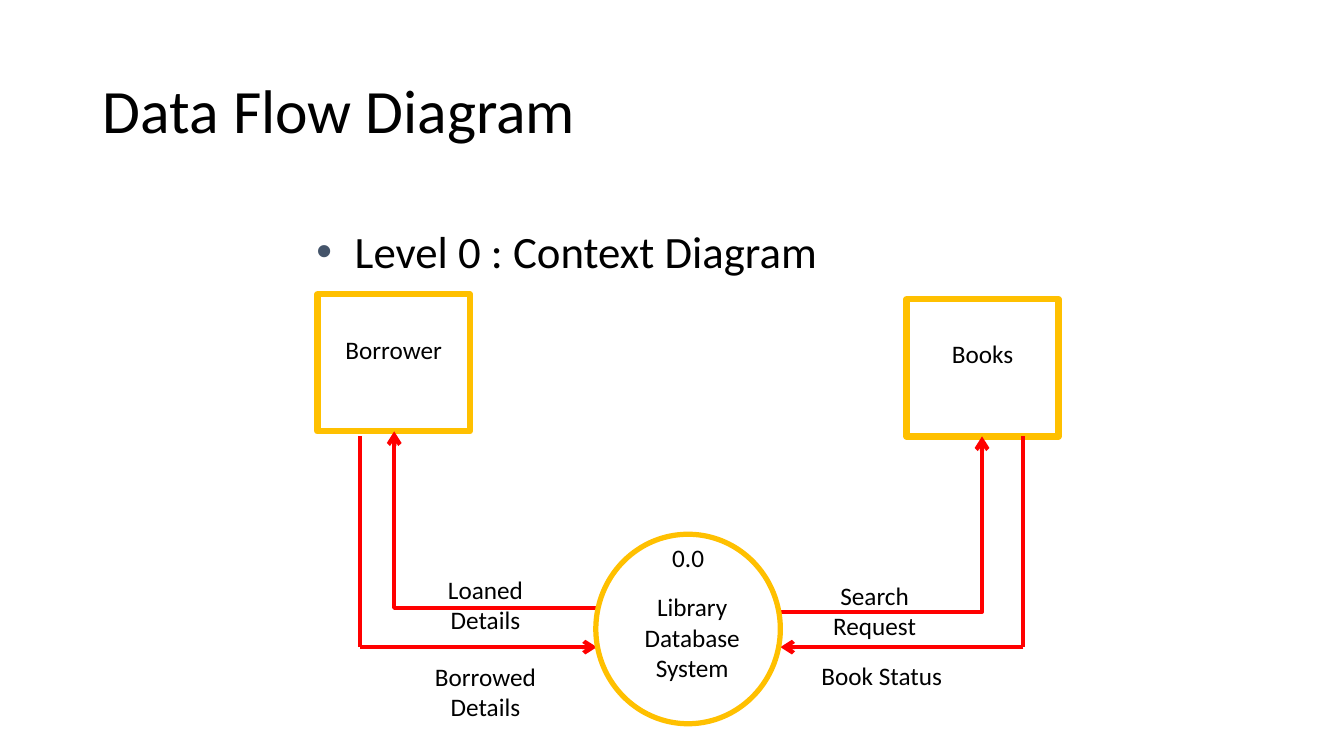
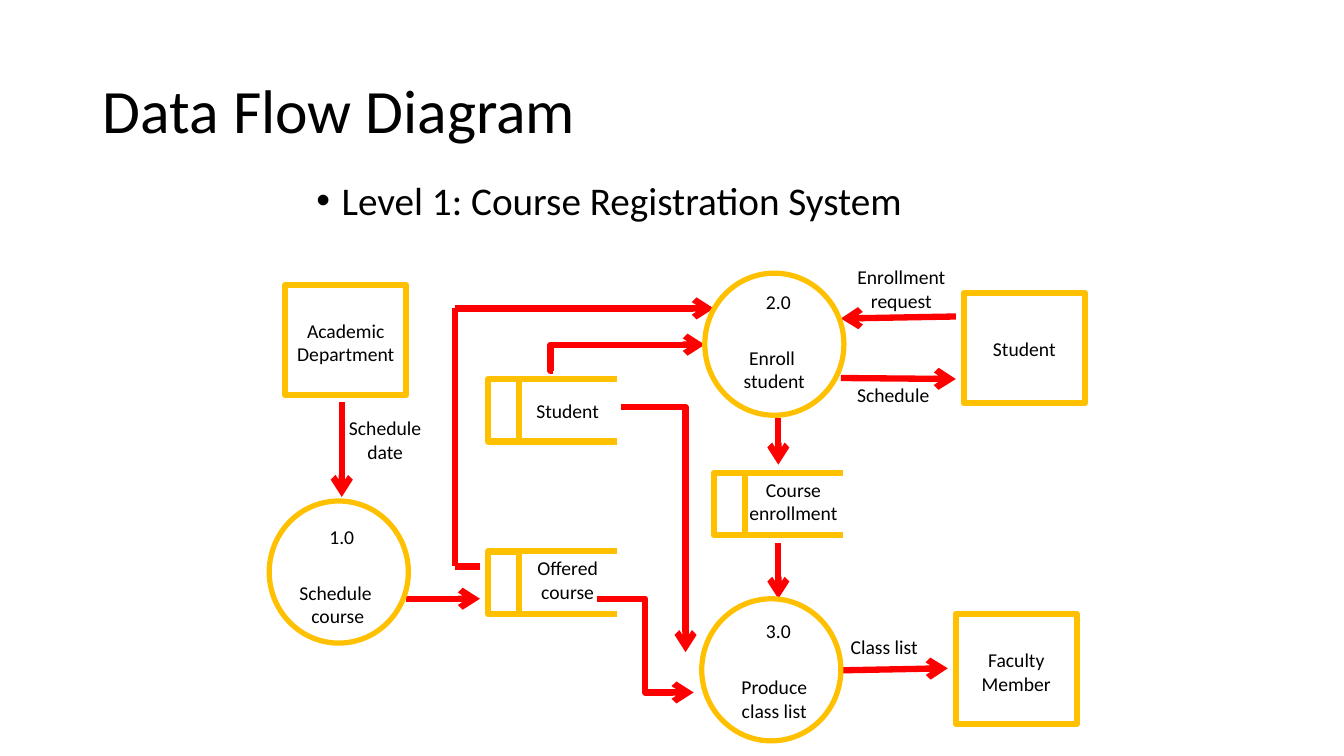
from lxml import etree
from pptx import Presentation
from pptx.dml.color import RGBColor
from pptx.enum.shapes import MSO_CONNECTOR as Connector, MSO_SHAPE as Shape
from pptx.enum.text import MSO_ANCHOR as Anchor, PP_ALIGN as Align
from pptx.oxml.ns import qn
from pptx.util import Inches, Pt

BLACK = RGBColor(0x00, 0x00, 0x00)
SLATE = RGBColor(0x44, 0x54, 0x6A)
GOLD = RGBColor(0xFF, 0xC0, 0x00)
RED = RGBColor(0xFF, 0x00, 0x00)
FONT = "Calibri"
TITLE = "Data Flow Diagram"
TITLE_AREA = (0.92, 0.4, 11.5, 1.45)
STORE_WIDTH, STORE_TAB, STORE_HEIGHT = 1.28, 0.31, 0.62
OUTLINE, OVAL_OUTLINE = 4.5, 3.75

LEVEL_0 = {
    "heading": dict(text="Level 0 : Context Diagram", top=2.17, size=32,
                    indent=0.38, spacing=1.0, bullet=SLATE),
    "text_size": 18,
    "flow_width": 3,
    "entity_size": (1.51, 1.36),
    "entities": [("Borrower", 3.15, 2.92, 0.35), ("Books", 8.99, 2.97, 0.34)],
    "stores": [],
    "oval_size": (1.83, 1.88),
    "ovals": [(5.91, 5.3)],
    "straight_flows": [
        (3.57, 6.42, 5.92, 6.42, True),
        (10.15, 6.42, 7.74, 6.42, True),
        (10.15, 6.42, 10.15, 4.33, False),
        (3.57, 6.42, 3.57, 4.33, False),
    ],
    "corner_flows": [(7.73, 6.07, 9.74, 4.33), (5.92, 6.03, 3.91, 4.28)],
    "step_flows": [],
    "labels": [
        ("0.0", 6.07, 5.33, 1.51),
        ("Library\nDatabase\nSystem", 5.92, 5.82, 1.89),
        ("Loaned Details", 4.06, 5.65, 1.51),
        ("Borrowed Details", 4.06, 6.51, 1.51),
        ("Search Request", 7.8, 5.71, 1.75),
        ("Book Status", 7.99, 6.5, 1.51),
    ],
}

LEVEL_1 = {
    "heading": dict(text="Level 1: Course Registration System", top=1.75, size=28,
                    indent=0.25, spacing=0.9, bullet=BLACK),
    "text_size": 14,
    "flow_width": 4.5,
    "entity_size": (1.2, 1.09),
    "entities": [
        ("Academic Department", 2.83, 2.83, 0.28),
        ("Faculty\nMember", 9.48, 6.09, 0.29),
        ("Student", 9.56, 2.91, 0.38),
    ],
    "stores": [
        ("Offered\ncourse", 4.84, 5.47, 0),
        ("Student", 4.84, 3.76, 0.15),
        ("Course\nenrollment", 7.08, 4.69, 0),
    ],
    "oval_size": (1.38, 1.41),
    "ovals": [(6.99, 2.71), (6.96, 5.94), (2.67, 4.97)],
    "straight_flows": [
        (9.48, 3.14, 8.34, 3.16, True),
        (8.34, 3.75, 9.48, 3.76, True),
        (7.72, 5.39, 7.72, 5.94, True),
        (7.72, 4.15, 7.72, 4.61, True),
        (8.34, 6.65, 9.4, 6.63, True),
        (4.03, 5.94, 4.76, 5.94, True),
        (4.51, 3.06, 7.08, 3.06, True),
        (4.51, 3.06, 4.51, 5.62, False),
        (4.51, 5.62, 4.76, 5.62, False),
        (3.39, 3.99, 3.39, 4.93, True),
    ],
    "corner_flows": [(6.16, 4.04, 6.8, 6.47)],
    "step_flows": [(5.92, 5.94, 6.88, 6.87, 0.5), (5.48, 3.68, 6.99, 3.42, -0.014)],
    "labels": [
        ("1.0", 2.99, 5.16, 0.8),
        ("Schedule \ncourse", 2.67, 5.71, 1.36),
        ("2.0", 7.32, 2.83, 0.8),
        ("Enroll \nstudent", 7, 3.38, 1.36),
        ("3.0", 7.32, 6.09, 0.8),
        ("Produce\nclass list", 7, 6.65, 1.36),
        ("Schedule\ndate", 3.22, 4.08, 1.2),
        ("Enrollment\nrequest", 8.34, 2.58, 1.2),
        ("Schedule", 8.26, 3.75, 1.2),
        ("Class list", 8.17, 6.25, 1.2),
    ],
}


def inches(*values):
    return [Inches(value) for value in values]


def write(frame, text, size, align=Align.CENTER, spacing=None):
    frame.word_wrap = True
    for index, line in enumerate(text.split("\n")):
        para = frame.add_paragraph() if index else frame.paragraphs[0]
        para.alignment = align
        if spacing:
            para.line_spacing = spacing
        span = para.add_run()
        span.text = line
        span.font.name = FONT
        span.font.size = Pt(size)
        span.font.color.rgb = BLACK


def add_label(page, text, left, top, width, size):
    height = 0.1 + (text.count("\n") + 1) * size * 1.2 / 72
    box = page.shapes.add_textbox(*inches(left, top, width, height))
    write(box.text_frame, text, size)


def add_outline(page, kind, left, top, width, height, weight=OUTLINE):
    box = page.shapes.add_shape(kind, *inches(left, top, width, height))
    box.shadow.inherit = False
    box.fill.background()
    box.line.color.rgb = GOLD
    box.line.width = Pt(weight)
    return box


def add_line(page, ends, color, weight, arrow=False, preset=None, bend=None):
    kind = Connector.ELBOW if preset else Connector.STRAIGHT
    line = page.shapes.add_connector(kind, *inches(*ends))
    line.line.color.rgb = color
    line.line.width = Pt(weight)
    properties = line._element.spPr
    if arrow:
        etree.SubElement(properties.find(qn("a:ln")), qn("a:tailEnd"), type="arrow")
    etree.SubElement(properties, qn("a:effectLst"))
    if preset:
        geometry = properties.find(qn("a:prstGeom"))
        geometry.set("prst", preset)
        if bend is not None:
            guides = geometry.find(qn("a:avLst"))
            if guides is None:
                guides = etree.SubElement(geometry, qn("a:avLst"))
            etree.SubElement(guides, qn("a:gd"), name="adj1", fmla=f"val {round(bend * 100000)}")


def add_entity(page, text, left, top, drop, extent, size):
    box = add_outline(page, Shape.RECTANGLE, left, top, *extent)
    frame = box.text_frame
    frame.vertical_anchor = Anchor.TOP
    frame.margin_top = Inches(drop + 0.05)
    frame.margin_bottom = 0
    write(frame, text, size)


def add_store(page, text, left, top, drop, size):
    for y in (top, top + STORE_HEIGHT):
        add_line(page, (left, y, left + STORE_WIDTH, y), GOLD, OUTLINE)
    add_outline(page, Shape.RECTANGLE, left, top, STORE_TAB, STORE_HEIGHT)
    add_label(page, text, left + 0.15, top + drop, STORE_WIDTH, size)


def add_heading(page, text, top, size, indent, spacing, bullet):
    box = page.shapes.add_textbox(*inches(3.04, top, 8.5, 0.6))
    write(box.text_frame, text, size, Align.LEFT, spacing)
    properties = box.text_frame.paragraphs[0]._p.get_or_add_pPr()
    properties.set("marL", str(Inches(indent)))
    properties.set("indent", str(-Inches(indent)))
    color = etree.SubElement(properties, qn("a:buClr"))
    etree.SubElement(color, qn("a:srgbClr"), val=str(bullet))
    etree.SubElement(properties, qn("a:buFont"), typeface="Arial")
    etree.SubElement(properties, qn("a:buChar"), char="•")


def add_title(page):
    title = page.shapes.title
    title.left, title.top, title.width, title.height = inches(*TITLE_AREA)
    title.text_frame.vertical_anchor = Anchor.MIDDLE
    write(title.text_frame, TITLE, 44, Align.LEFT, 0.9)


def add_diagram(deck, diagram):
    page = deck.slides.add_slide(deck.slide_layouts[5])
    size, weight = diagram["text_size"], diagram["flow_width"]
    add_title(page)
    add_heading(page, **diagram["heading"])
    for entity in diagram["entities"]:
        add_entity(page, *entity, diagram["entity_size"], size)
    for store in diagram["stores"]:
        add_store(page, *store, size)
    for *ends, arrow in diagram["straight_flows"]:
        add_line(page, ends, RED, weight, arrow)
    for ends in diagram["corner_flows"]:
        add_line(page, ends, RED, weight, True, "bentConnector2")
    for *ends, bend in diagram["step_flows"]:
        add_line(page, ends, RED, weight, True, "bentConnector3", bend)
    for label in diagram["labels"]:
        add_label(page, *label, size)
    for left, top in diagram["ovals"]:
        add_outline(page, Shape.OVAL, left, top, *diagram["oval_size"], OVAL_OUTLINE)


def main():
    deck = Presentation()
    deck.slide_width, deck.slide_height = inches(13.33, 7.5)
    for diagram in (LEVEL_0, LEVEL_1):
        add_diagram(deck, diagram)
    deck.save("out.pptx")


if __name__ == "__main__":
    main()
